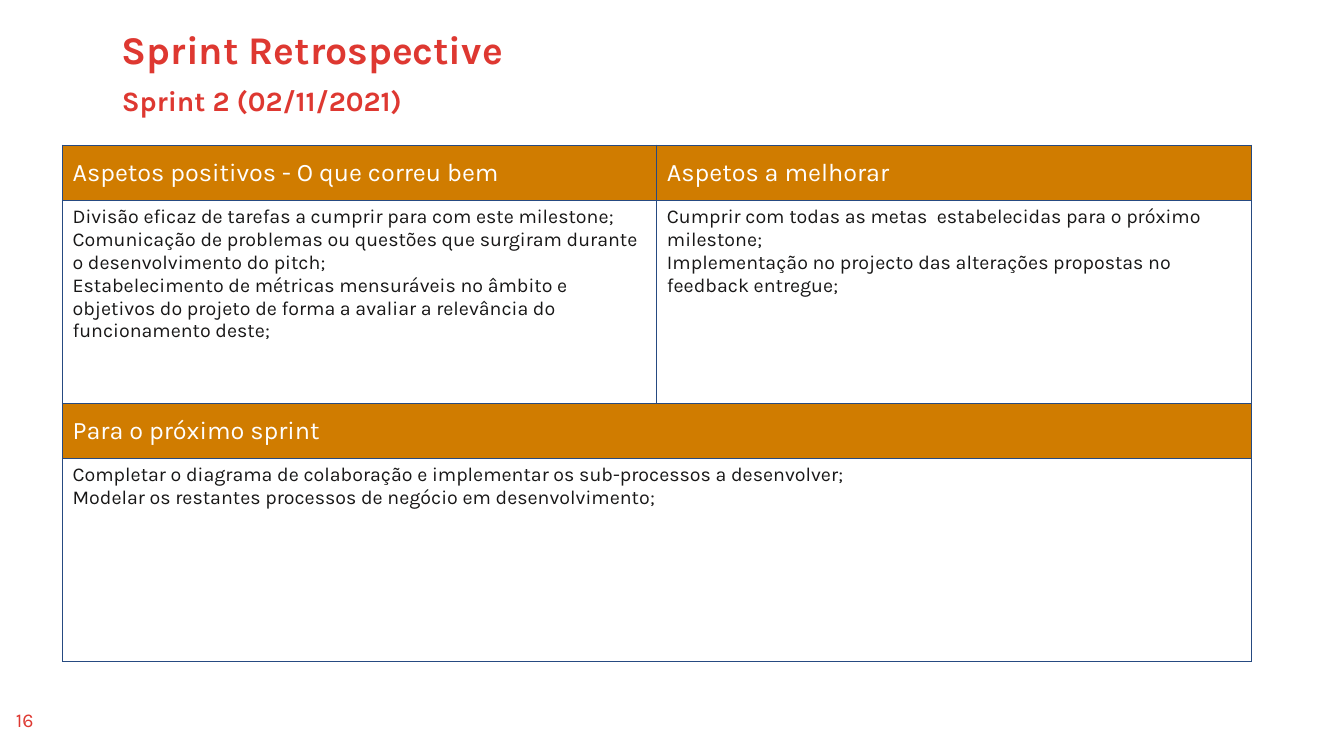
from lxml import etree
from pptx import Presentation
from pptx.dml.color import RGBColor
from pptx.enum.text import MSO_ANCHOR, PP_ALIGN
from pptx.oxml.ns import qn
from pptx.util import Inches, Pt

LEFT, CENTER = PP_ALIGN.LEFT, PP_ALIGN.CENTER
TOP, MIDDLE = MSO_ANCHOR.TOP, MSO_ANCHOR.MIDDLE

THEME = {
    "font": "Karla",
    "red": "DE3831", "orange": "D07C00", "white": "FFFFFF",
    "ink": "181717", "border": "264A81",
    "title": 28, "subtitle": 20, "heading": 18, "body": 14,
}


def write(tf, lines, size, color, bold=False, align=LEFT, spacing=1.0):
    tf.word_wrap = True
    for i, line in enumerate(lines):
        p = tf.paragraphs[0] if i == 0 else tf.add_paragraph()
        p.alignment, p.line_spacing = align, spacing
        r = p.add_run()
        r.text = line
        r.font.color.rgb = RGBColor.from_string(THEME[color])
        formats = {"name": THEME["font"], "size": Pt(THEME[size]), "bold": bold}
        for name, value in formats.items():
            setattr(r.font, name, value)


def add_borders(cell):
    tc_pr = cell._tc.get_or_add_tcPr()
    for side in ("a:lnL", "a:lnR", "a:lnT", "a:lnB"):
        ln = etree.SubElement(tc_pr, qn(side), w=str(Pt(1)))
        fill = etree.SubElement(ln, qn("a:solidFill"))
        etree.SubElement(fill, qn("a:srgbClr"), val=THEME["border"])


prs = Presentation()
prs.slide_width, prs.slide_height = Inches(13.33), Inches(7.5)
s = prs.slides.add_slide(prs.slide_layouts[6])

# Title, subtitle and page number
bold_heading = {"bold": True, "spacing": 0.9}
labels = [
    ("Sprint Retrospective", (1.11, 0.25, 10.41, 0.45), "title", bold_heading),
    ("Sprint 2 (02/11/2021)", (1.11, 0.82, 10.41, 0.42), "subtitle", bold_heading),
    ("16", (0.01, 6.97, 0.47, 0.4), "body", {"align": CENTER}),
]
for text, box, size, options in labels:
    sp = s.shapes.add_textbox(*map(Inches, box))
    write(sp.text_frame, [text], size, "red", **options)

# Retrospective table: heading rows alternate with body rows
rows = [
    [["Aspetos positivos - O que correu bem"], ["Aspetos a melhorar"]],
    [
        [
            "Divisão eficaz de tarefas a cumprir para com este milestone;",
            "Comunicação de problemas ou questões que surgiram durante "
            "o desenvolvimento do pitch;",
            "Estabelecimento de métricas mensuráveis no âmbito e objetivos do "
            "projeto de forma a avaliar a relevância do funcionamento deste;",
        ],
        [
            "Cumprir com todas as metas  estabelecidas para o próximo milestone;",
            "Implementação no projecto das alterações propostas no feedback entregue;",
        ],
    ],
    [["Para o próximo sprint"]],
    [[
        "Completar o diagrama de colaboração e implementar os sub-processos a desenvolver;",
        "Modelar os restantes processos de negócio em desenvolvimento;",
    ]],
]
heights = (0.55, 2.01)
table = s.shapes.add_table(
    len(rows), 2, Inches(0.62), Inches(1.44), Inches(11.79), Inches(5.13)
).table

for i, row in enumerate(rows):
    is_heading = i % 2 == 0
    table.rows[i].height = Inches(heights[i % 2])
    if len(row) == 1:
        table.cell(i, 0).merge(table.cell(i, 1))
    for cell in table.rows[i].cells:
        add_borders(cell)
        cell.fill.solid()
        cell.fill.fore_color.rgb = RGBColor.from_string(
            THEME["orange" if is_heading else "white"])
        cell.vertical_anchor = MIDDLE if is_heading else TOP
    for j, lines in enumerate(row):
        size, color = ("heading", "white") if is_heading else ("body", "ink")
        write(table.cell(i, j).text_frame, lines, size, color)

prs.save("out.pptx")
